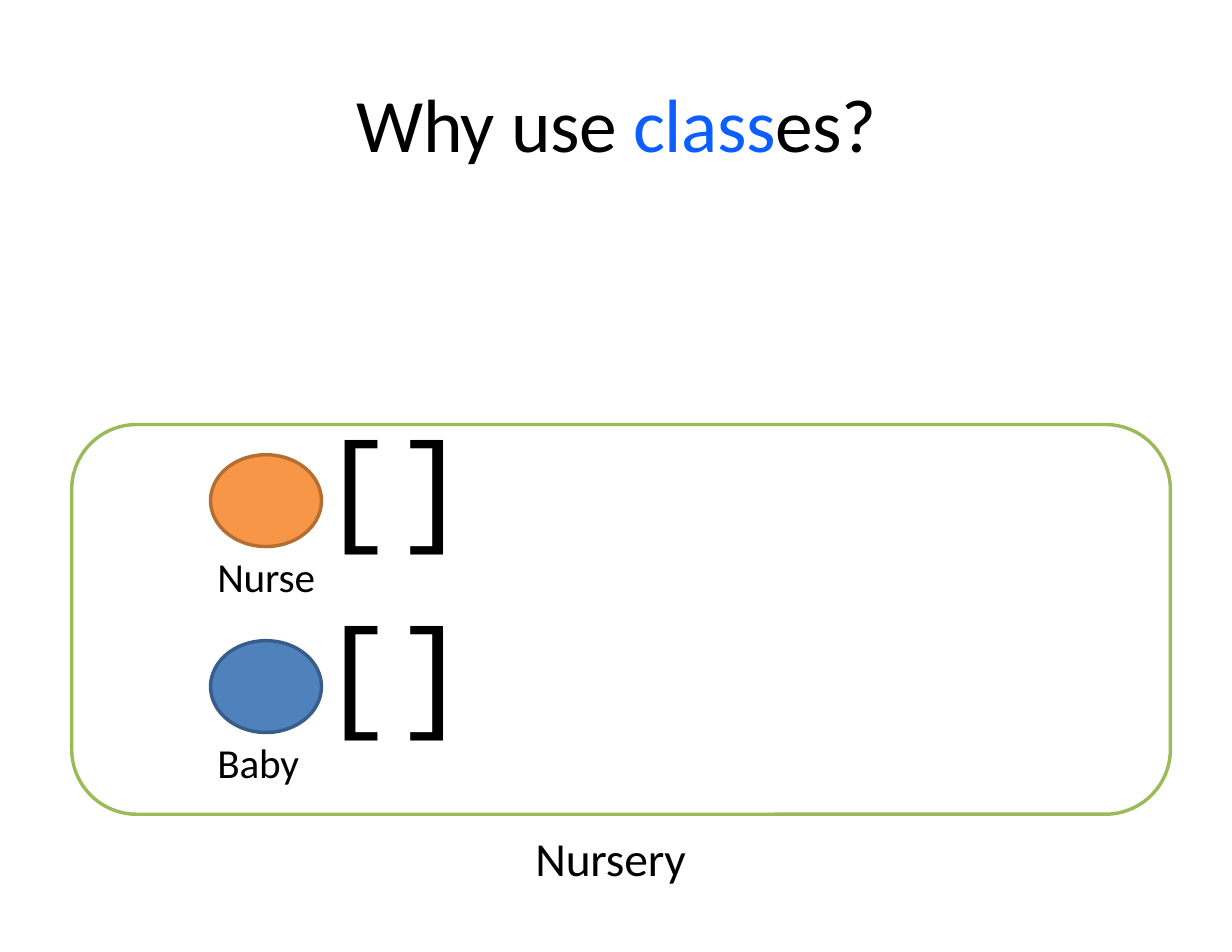
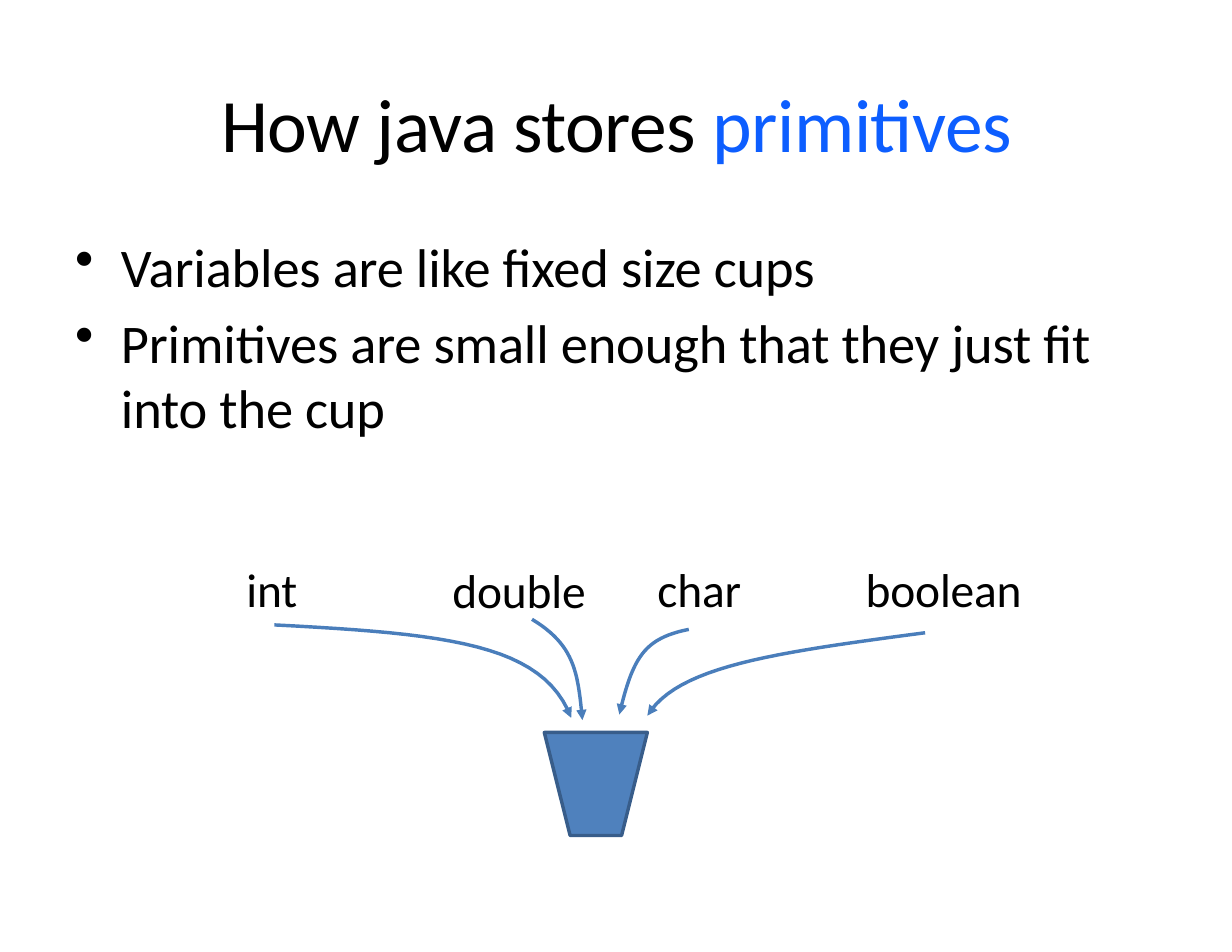
"""Build two slides on classes and on how primitives are stored."""
from lxml.etree import SubElement
from pptx import Presentation
from pptx.dml.color import RGBColor
from pptx.enum.shapes import MSO_SHAPE
from pptx.enum.text import MSO_ANCHOR, PP_ALIGN
from pptx.oxml.ns import qn
from pptx.util import Inches, Pt

COLORS = {"text": "000000", "key": "0D5EFF", "blue": "4F81BD", "blue_edge": "385D8A",
          "orange": "F79646", "orange_edge": "B66D31", "green": "9BBB59", "arrow": "4A7EBB"}
LINE_WIDTH = 2.2

WHY_TITLE = [("Why use ", "text"), ("class", "key"), ("es?", "text")]
PEOPLE = [("Nurse", "orange"), ("Baby", "blue")]
PEOPLE_TOP, PEOPLE_PITCH = 4.06, 1.66

STORE_TITLE = [("How java stores ", "text"), ("primitives", "key")]
BULLETS = ["Variables are like fixed size cups",
           "Primitives are small enough that they just fit into the cup"]
TYPES = [
    ("int", (2.2, 5, 0.49, 0.51), [(2.45, 5.58), (4, 5.66), (4.85, 5.75), (5.1, 6.41)]),
    ("double", (4.04, 5.01, 1.24, 0.51), [(4.75, 5.53), (5.13, 5.76), (5.16, 6), (5.2, 6.43)]),
    ("char", (5.87, 5, 0.79, 0.51), [(6.15, 5.62), (5.75, 5.7), (5.65, 5.87), (5.53, 6.38)]),
    ("boolean", (7.73, 5, 1.44, 0.51), [(8.26, 5.65), (6.9, 5.83), (6.05, 5.95), (5.78, 6.39)]),
]
CURVE_STEPS = 24


def rgb(name):
    return RGBColor.from_string(COLORS[name])


def add_text(s, box, paragraphs, size, font="Calibri", wrap=False, spacing=-10):
    tf = s.shapes.add_textbox(*map(Inches, box)).text_frame
    tf.word_wrap = wrap
    tf.vertical_anchor = MSO_ANCHOR.TOP
    tf.margin_left = tf.margin_right = tf.margin_top = tf.margin_bottom = 0
    for i, runs in enumerate(paragraphs):
        p = tf.add_paragraph() if i else tf.paragraphs[0]
        p.font.name, p.font.size = font, Pt(size)
        for text, color in runs:
            r = p.add_run()
            r.text = text
            r.font.color.rgb = rgb(color)
            r._r.get_or_add_rPr().set("spc", str(spacing))
    return tf


def add_label(s, box, text, size, **options):
    return add_text(s, box, [[(text, "text")]], size, **options)


def add_title(s, runs):
    p = add_text(s, (1.38, 0.7, 8.25, 0.79), [runs], 48.5, wrap=True, spacing=-30).paragraphs[0]
    p.alignment = PP_ALIGN.CENTER
    p.line_spacing = Pt(57.2)


def style(sp, line, fill=None):
    sp.shadow.inherit = False
    if fill:
        sp.fill.solid()
        sp.fill.fore_color.rgb = rgb(fill)
    else:
        sp.fill.background()
    sp.line.color.rgb = rgb(line)
    sp.line.width = Pt(LINE_WIDTH)


def add_shape(s, kind, box, line, fill=None):
    sp = s.shapes.add_shape(kind, *map(Inches, box))
    style(sp, line, fill)
    return sp


def add_bullets(s, box, items, size):
    tf = add_text(s, box, [[(item, "text")] for item in items], size, wrap=True)
    for i, p in enumerate(tf.paragraphs):
        p.space_before = Pt(6.8 if i else 0)
        pPr = p._p.get_or_add_pPr()
        pPr.set("marL", str(Inches(0.43)))
        pPr.set("indent", str(Inches(-0.41)))
        bullet = pPr.makeelement(qn("a:buChar"), {"char": "•"})
        pPr.insert_element_before(bullet, "a:tabLst", "a:defRPr", "a:extLst")


def curve_point(points, t):
    weights = ((1 - t) ** 3, 3 * t * (1 - t) ** 2, 3 * t ** 2 * (1 - t), t ** 3)
    return tuple(Inches(sum(w * pt[axis] for w, pt in zip(weights, points))) for axis in (0, 1))


def add_curved_arrow(s, points):
    start, *rest = [curve_point(points, i / CURVE_STEPS) for i in range(CURVE_STEPS + 1)]
    builder = s.shapes.build_freeform(*start)
    builder.add_line_segments(rest, close=False)
    sp = builder.convert_to_shape()
    style(sp, "arrow")
    SubElement(sp.line._get_or_add_ln(), qn("a:tailEnd"), type="triangle")


def build_classes(s):
    add_title(s, WHY_TITLE)
    add_shape(s, MSO_SHAPE.ROUNDED_RECTANGLE, (0.64, 3.79, 9.81, 3.48), "green")
    for i, (name, color) in enumerate(PEOPLE):
        top = PEOPLE_TOP + i * PEOPLE_PITCH
        add_shape(s, MSO_SHAPE.OVAL, (1.88, top, 0.99, 0.82), color + "_edge", color)
        add_label(s, (1.94, top + 0.86, 0.91, 0.44), name, 26.5)
        add_label(s, (2.86, top - 0.43, 1.35, 1.24), "[]", 79, font="Courier New", spacing=0)
    add_label(s, (4.78, 7.4, 1.39, 0.51), "Nursery", 30.5)


def build_primitives(s):
    add_title(s, STORE_TITLE)
    add_bullets(s, (0.65, 2.08, 9.22, 1.86), BULLETS, 35)
    cup = add_shape(s, MSO_SHAPE.TRAPEZOID, (4.86, 6.54, 0.92, 0.92), "blue_edge", "blue")
    cup.rotation = 180
    for name, box, points in TYPES:
        add_label(s, box, name, 30.5)
        add_curved_arrow(s, points)


def main():
    prs = Presentation()
    prs.slide_width, prs.slide_height = Inches(11), Inches(8.5)
    for build in (build_classes, build_primitives):
        build(prs.slides.add_slide(prs.slide_layouts[6]))
    prs.save("out.pptx")


if __name__ == "__main__":
    main()
